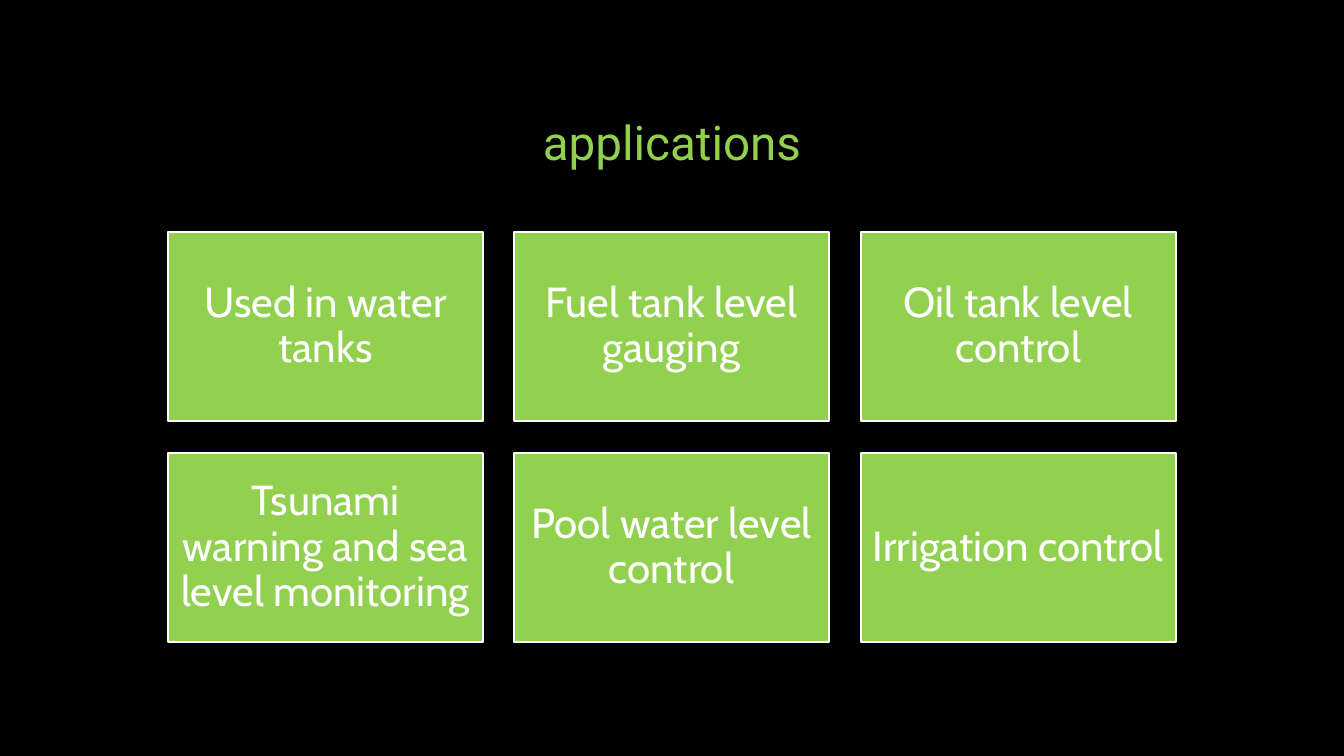
from pptx import Presentation
from pptx.dml.color import RGBColor
from pptx.enum.shapes import MSO_SHAPE
from pptx.enum.text import MSO_ANCHOR, MSO_AUTO_SIZE, PP_ALIGN
from pptx.util import Pt

BLACK = RGBColor(0x00, 0x00, 0x00)
WHITE = RGBColor(0xFF, 0xFF, 0xFF)
GREEN = RGBColor(0x92, 0xD0, 0x50)
EMU_PER_PX = 914400 / 100.8
TITLE_ONLY = 5


def px(length):
    return round(length * EMU_PER_PX)


class SlideBuilder:
    title_font, title_size = "Roboto", 34
    tile_font, tile_size = "Cabin", 30
    tile_inset = 12

    def __init__(self, presentation):
        self.slide = presentation.slides.add_slide(
            presentation.slide_layouts[TITLE_ONLY])

    def background(self, color):
        fill = self.slide.background.fill
        fill.solid()
        fill.fore_color.rgb = color

    def add_text(self, frame, text, font, size, color, anchor):
        frame.word_wrap = True
        frame.auto_size = MSO_AUTO_SIZE.NONE
        frame.vertical_anchor = anchor
        paragraph = frame.paragraphs[0]
        paragraph.alignment = PP_ALIGN.CENTER
        paragraph.line_spacing = 0.9
        paragraph.space_before = Pt(0)
        run = paragraph.add_run()
        run.text = text
        run.font.name = font
        run.font.size = Pt(size)
        run.font.color.rgb = color

    def title(self, text, left, top, width, height):
        shape = self.slide.shapes.title
        shape.left, shape.top = px(left), px(top)
        shape.width, shape.height = px(width), px(height)
        self.add_text(shape.text_frame, text, self.title_font,
                      self.title_size, GREEN, MSO_ANCHOR.BOTTOM)

    def tile(self, text, left, top, width, height):
        shape = self.slide.shapes.add_shape(
            MSO_SHAPE.RECTANGLE, px(left), px(top), px(width), px(height))
        shape.shadow.inherit = False
        shape.fill.solid()
        shape.fill.fore_color.rgb = GREEN
        shape.line.color.rgb = WHITE
        shape.line.width = Pt(1)
        frame = shape.text_frame
        frame.margin_left = frame.margin_right = px(self.tile_inset)
        frame.margin_top = frame.margin_bottom = px(self.tile_inset)
        self.add_text(frame, text, self.tile_font, self.tile_size,
                      WHITE, MSO_ANCHOR.MIDDLE)


def main():
    presentation = Presentation()
    presentation.slide_width, presentation.slide_height = px(1344), px(756)
    builder = SlideBuilder(presentation)
    builder.background(BLACK)

    # Title
    left, total_width = 168, 1008
    builder.title("applications", left, 50, total_width, 126)

    # Grid of applications, spread evenly over the title's width
    applications = [
        "Used in water tanks", "Fuel tank level gauging",
        "Oil tank level control",
        "Tsunami warning and sea level monitoring",
        "Pool water level control", "Irrigation control",
    ]
    columns, top, width, height, row_pitch = 3, 232, 315, 189, 221
    for index, text in enumerate(applications):
        row, column = divmod(index, columns)
        offset = column * (total_width - width) // (columns - 1)
        builder.tile(text, left + offset, top + row * row_pitch, width, height)

    presentation.save("out.pptx")


if __name__ == "__main__":
    main()
